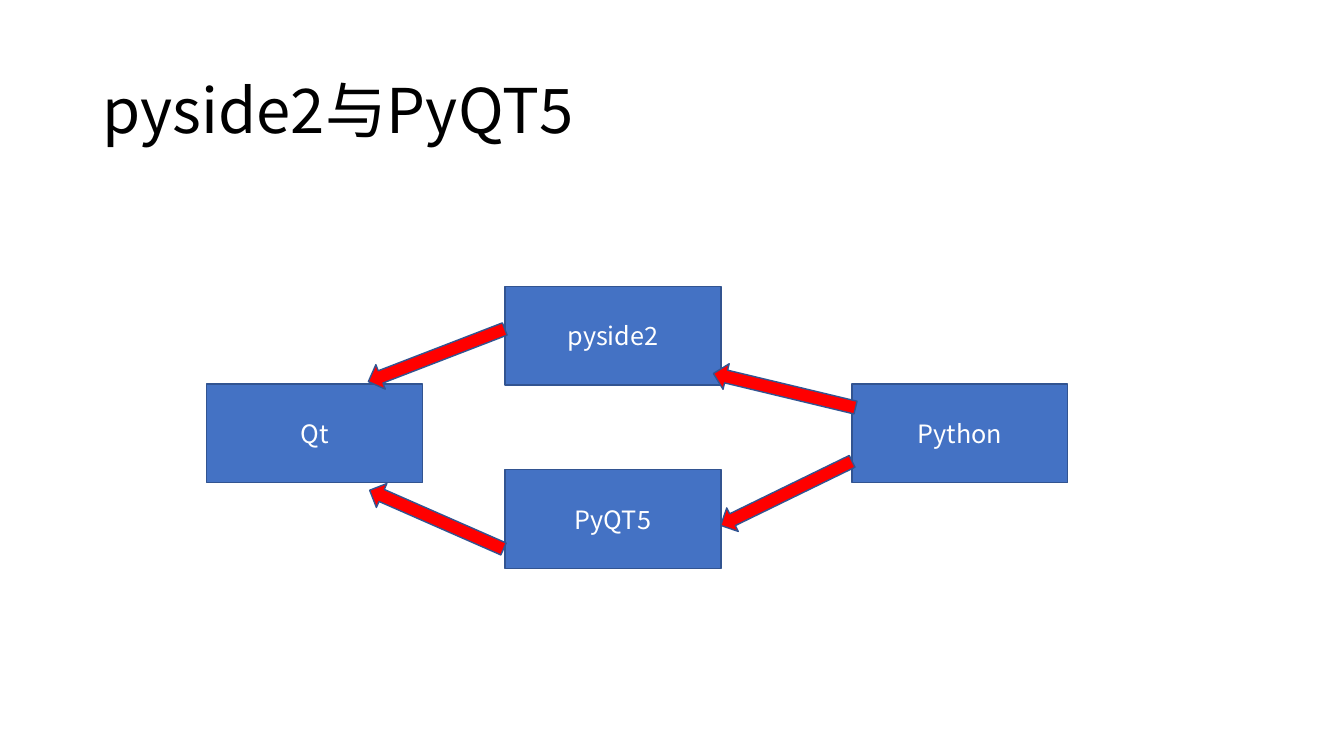
from lxml import etree
from pptx import Presentation
from pptx.dml.color import RGBColor
from pptx.enum.shapes import MSO_SHAPE
from pptx.enum.text import MSO_ANCHOR, PP_ALIGN
from pptx.oxml.ns import qn
from pptx.util import Inches, Pt

RECTANGLE = MSO_SHAPE.RECTANGLE
DOWN_ARROW = MSO_SHAPE.DOWN_ARROW
MIDDLE = MSO_ANCHOR.MIDDLE
LEFT = PP_ALIGN.LEFT
CENTER = PP_ALIGN.CENTER

FONT = "Noto Sans CJK SC"
COLORS = {
    "title": "000000",
    "label": "FFFFFF",
    "box": "4472C4",
    "arrow": "FF0000",
    "outline": "325491",
}
BOX_SIZE = (2.14, 0.98)
ARROW_SIZE = (0.26, 1.45)
BOXES = [
    ("pyside2", 5.01, 2.84),
    ("PyQT5", 5.01, 4.66),
    ("Qt", 2.05, 3.81),
    ("Python", 8.45, 3.81),
]
ARROWS = [
    (7.67, 4.17, 64),
    (4.2, 4.43, 113.7),
    (7.65, 3.15, 103.5),
    (4.2, 2.8, 68.9),
]


def color(name):
    """Return the named colour."""
    return RGBColor.from_string(COLORS[name])


def write_text(shape, text, *, size, color_name, align=LEFT, line_spacing=1.0):
    """Write one formatted, vertically centred paragraph into a shape."""
    frame = shape.text_frame
    frame.word_wrap = True
    frame.vertical_anchor = MIDDLE
    paragraph = frame.paragraphs[0]
    paragraph.alignment = align
    paragraph.line_spacing = line_spacing
    run = paragraph.add_run()
    run.text = text
    run.font.size = Pt(size)
    run.font.name = FONT
    run.font.color.rgb = color(color_name)
    properties = run.font._element
    etree.SubElement(properties, qn("a:ea"), typeface=FONT)


def add_title(slide, text):
    """Add the slide title."""
    title = slide.shapes.add_textbox(
        Inches(0.92), Inches(0.4), Inches(11.5), Inches(1.45)
    )
    write_text(title, text, size=44, color_name="title", line_spacing=0.9)


def add_filled_shape(slide, kind, left, top, size, fill_name):
    """Add a filled shape with the common outline."""
    width, height = size
    shape = slide.shapes.add_shape(
        kind, Inches(left), Inches(top), Inches(width), Inches(height)
    )
    shape.shadow.inherit = False
    shape.fill.solid()
    shape.fill.fore_color.rgb = color(fill_name)
    shape.line.color.rgb = color("outline")
    shape.line.width = Pt(1)
    return shape


def add_box(slide, text, left, top):
    """Add a labelled box."""
    box = add_filled_shape(slide, RECTANGLE, left, top, BOX_SIZE, "box")
    write_text(box, text, size=18, color_name="label", align=CENTER)


def add_arrow(slide, left, top, rotation):
    """Add a rotated block arrow."""
    arrow = add_filled_shape(slide, DOWN_ARROW, left, top, ARROW_SIZE, "arrow")
    arrow.rotation = rotation


def main():
    """Build and save the presentation."""
    presentation = Presentation()
    presentation.slide_width = Inches(13.33)
    presentation.slide_height = Inches(7.5)
    slide = presentation.slides.add_slide(presentation.slide_layouts[6])
    add_title(slide, "pyside2与PyQT5")
    for text, left, top in BOXES:
        add_box(slide, text, left, top)
    for left, top, rotation in ARROWS:
        add_arrow(slide, left, top, rotation)
    presentation.save("out.pptx")


if __name__ == "__main__":
    main()
